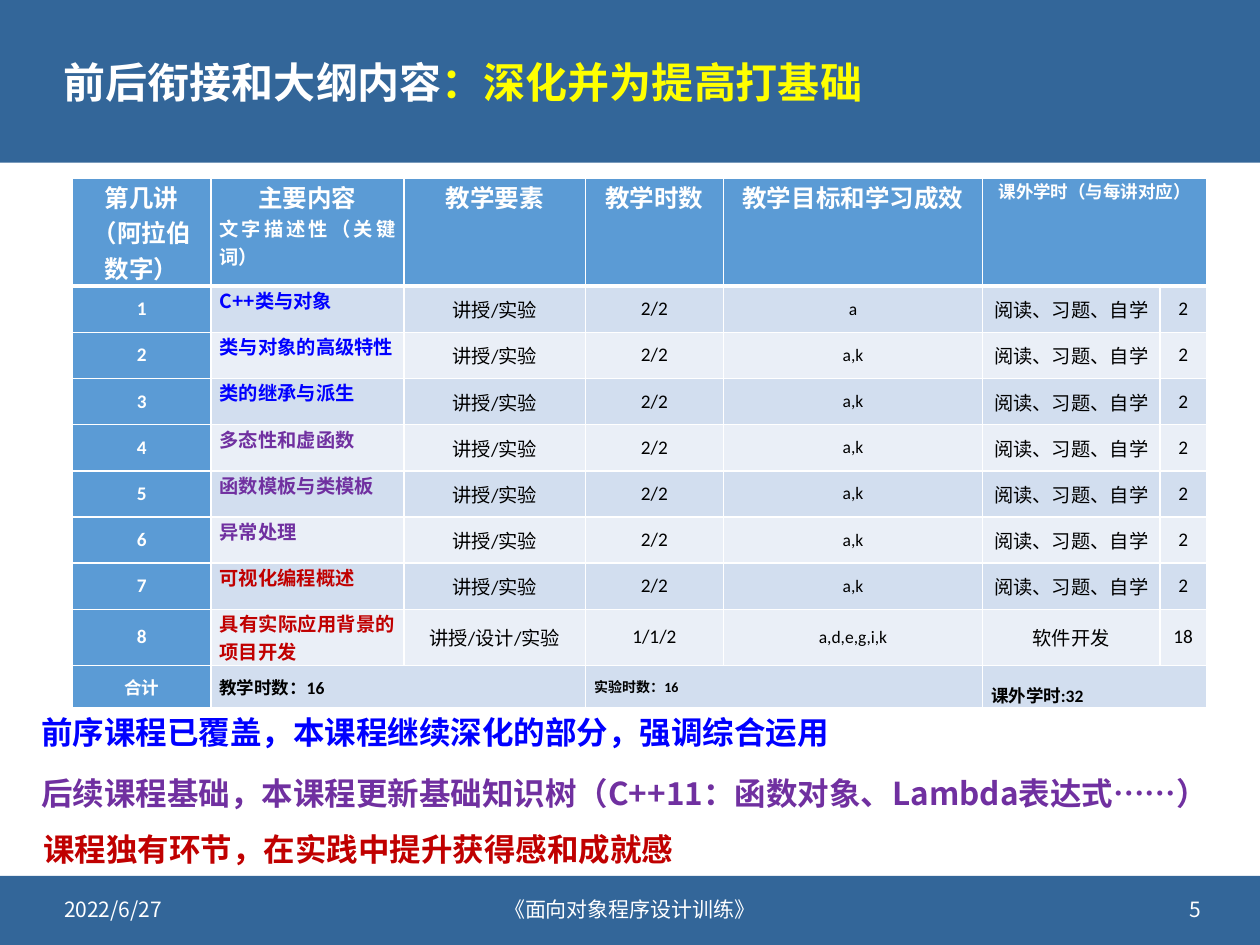
from lxml import etree
from pptx import Presentation
from pptx.dml.color import RGBColor
from pptx.enum.shapes import MSO_SHAPE
from pptx.enum.text import MSO_ANCHOR, PP_ALIGN
from pptx.oxml.ns import qn
from pptx.util import Pt

RECT = MSO_SHAPE.RECTANGLE
TOP, MID = MSO_ANCHOR.TOP, MSO_ANCHOR.MIDDLE
LEFT, MIDDLE, RIGHT = PP_ALIGN.LEFT, PP_ALIGN.CENTER, PP_ALIGN.RIGHT
JUST = PP_ALIGN.JUSTIFY

WHITE = RGBColor(0xFF, 0xFF, 0xFF)
BLACK = RGBColor(0x00, 0x00, 0x00)
NAVY = RGBColor(0x33, 0x66, 0x99)
HEAD = RGBColor(0x5B, 0x9B, 0xD5)
BAND = RGBColor(0xD2, 0xDE, 0xEF)
PALE = RGBColor(0xEA, 0xEF, 0xF7)
YELLOW = RGBColor(0xFF, 0xFF, 0x00)
BLUE = RGBColor(0x00, 0x00, 0xFF)
PURPLE = RGBColor(0x70, 0x30, 0xA0)
RED = RGBColor(0xC0, 0x00, 0x00)

SANS = "Noto Sans CJK SC"
BODY = "Calibri"

COLS = [79, 110.5, 103.5, 79, 148, 101.5, 26.5]
ROWS = [61.5] + [26.4] * 7 + [32, 24.5]
HEADS = ["教学要素", "教学时数", "教学目标和学习成效"]
USUAL = ["讲授/实验", "2/2", "a,k", "阅读、习题、自学", "2"]
FIRST = ["讲授/实验", "2/2", "a", "阅读、习题、自学", "2"]
FINAL = ["讲授/设计/实验", "1/1/2", "a,d,e,g,i,k", "软件开发", "18"]
SIZES = [11, 11, 10, 11, 11]
TOPICS = [
    ("C++类与对象", BLUE, FIRST),
    ("类与对象的高级特性", BLUE, USUAL),
    ("类的继承与派生", BLUE, USUAL),
    ("多态性和虚函数", PURPLE, USUAL),
    ("函数模板与类模板", PURPLE, USUAL),
    ("异常处理", PURPLE, USUAL),
    ("可视化编程概述", RED, USUAL),
    ("具有实际应用背景的项目开发", RED, FINAL),
]
NOTES = [
    ("前序课程已覆盖，本课程继续深化的部分，强调综合运用", BLUE, (16.5, 404, 469, 29)),
    ("后续课程基础，本课程更新基础知识树（C++11：函数对象、Lambda表达式……）",
     PURPLE, (16.5, 438.5, 707, 29)),
    ("课程独有环节，在实践中提升获得感和成就感", RED, (17.5, 471, 378, 29)),
]


def write(para, text, size=11, color=BLACK, bold=False, font=BODY, align=LEFT):
    para.alignment = align
    run = para.add_run()
    run.text = text
    face = run.font
    face.size = Pt(size)
    face.bold = bold
    face.color.rgb = color
    face.name = font
    east = etree.SubElement(run._r.get_or_add_rPr(), qn("a:ea"))
    east.set("typeface", SANS)


def add_bar(slide, top, height):
    bar = slide.shapes.add_shape(RECT, 0, Pt(top), Pt(720), Pt(height))
    bar.shadow.inherit = False
    bar.fill.solid()
    bar.fill.fore_color.rgb = NAVY
    bar.line.fill.background()


def add_box(slide, area, anchor=MID, wrap=True):
    box = slide.shapes.add_textbox(*map(Pt, area))
    frame = box.text_frame
    frame.word_wrap = wrap
    frame.vertical_anchor = anchor
    return frame.paragraphs[0]


def edge_cell(cell, base):
    props = cell._tc.get_or_add_tcPr()
    for tag, width in (("lnL", 1), ("lnR", 1), ("lnT", 1), ("lnB", base)):
        line = etree.SubElement(props, qn("a:" + tag), w=str(Pt(width)))
        fill = etree.SubElement(line, qn("a:solidFill"))
        etree.SubElement(fill, qn("a:srgbClr"), val=str(WHITE))


def style_cell(cell, fill, base=1):
    cell.margin_left = cell.margin_right = Pt(5)
    cell.margin_top = cell.margin_bottom = 0
    edge_cell(cell, base)
    cell.fill.solid()
    cell.fill.fore_color.rgb = fill


def fill_cell(cell, text, anchor=MID, align=MIDDLE, **form):
    cell.vertical_anchor = anchor
    write(cell.text_frame.paragraphs[0], text, align=align, **form)


def fill_head(table):
    form = {"size": 14, "color": WHITE, "bold": True}
    for col, text in enumerate(["第几讲", "主要内容"] + HEADS):
        fill_cell(table.cell(0, col), text, anchor=TOP, **form)
    write(table.cell(0, 0).text_frame.add_paragraph(), "（阿拉伯数字）",
          align=MIDDLE, **form)
    write(table.cell(0, 1).text_frame.add_paragraph(), "文字描述性（关键词）",
          align=JUST, **{**form, "size": 11})
    fill_cell(table.cell(0, 5), "课外学时（与每讲对应）", anchor=TOP,
              **{**form, "size": 10})


def fill_body(table):
    for row, (topic, color, values) in enumerate(TOPICS, 1):
        fill_cell(table.cell(row, 0), str(row), color=WHITE, bold=True)
        fill_cell(table.cell(row, 1), topic, anchor=TOP, align=JUST,
                  color=color, bold=True, font=SANS)
        for col, (text, size) in enumerate(zip(values, SIZES), 2):
            fill_cell(table.cell(row, col), text, size=size)


def fill_total(table):
    last = len(ROWS) - 1
    fill_cell(table.cell(last, 0), "合计", size=10, color=WHITE, bold=True)
    sums = [(1, "教学时数：16", 10), (3, "实验时数：16", 8), (5, "课外学时:32", 10)]
    for col, text, size in sums:
        table.cell(last, col).merge(table.cell(last, col + 1))
        fill_cell(table.cell(last, col), text, align=JUST, size=size, bold=True)
    table.cell(last, 5).margin_top = Pt(9.5)


def add_plan(slide):
    frame = slide.shapes.add_table(len(ROWS), len(COLS), Pt(41.5), Pt(102),
                                   Pt(sum(COLS)), Pt(sum(ROWS)))
    table = frame.table
    for col, width in zip(table.columns, COLS):
        col.width = Pt(width)
    for row, height in zip(table.rows, ROWS):
        row.height = Pt(height)
    for row in range(len(ROWS)):
        for col in range(len(COLS)):
            band = BAND if row % 2 else PALE
            fill = HEAD if row == 0 or col == 0 else band
            style_cell(table.cell(row, col), fill, 1 if row else 3)
    table.cell(0, 5).merge(table.cell(0, 6))
    fill_head(table)
    fill_body(table)
    fill_total(table)


def main():
    deck = Presentation()
    deck.slide_width, deck.slide_height = Pt(720), Pt(540)
    slide = deck.slides.add_slide(deck.slide_layouts[6])
    add_bar(slide, 0, 93)
    add_bar(slide, 500.5, 39.5)

    title = add_box(slide, (29.5, 13, 662, 71))
    title.line_spacing = 0.9
    for text, color in (("前后衔接和大纲内容", WHITE), ("：深化并为提高打基础", YELLOW)):
        write(title, text, size=24, color=color, bold=True, font=SANS)

    feet = [("2022/6/27", 29.5, 173, LEFT),
            ("《面向对象程序设计训练》", 230.5, 259, MIDDLE),
            ("5", 520.5, 173, RIGHT)]
    for text, left, width, align in feet:
        write(add_box(slide, (left, 505, width, 29)), text, size=12,
              color=WHITE, font=SANS, align=align)

    add_plan(slide)
    for text, color, area in NOTES:
        write(add_box(slide, area, TOP, False), text, size=18, color=color,
              bold=True, font=SANS)
    deck.save("out.pptx")


if __name__ == "__main__":
    main()
